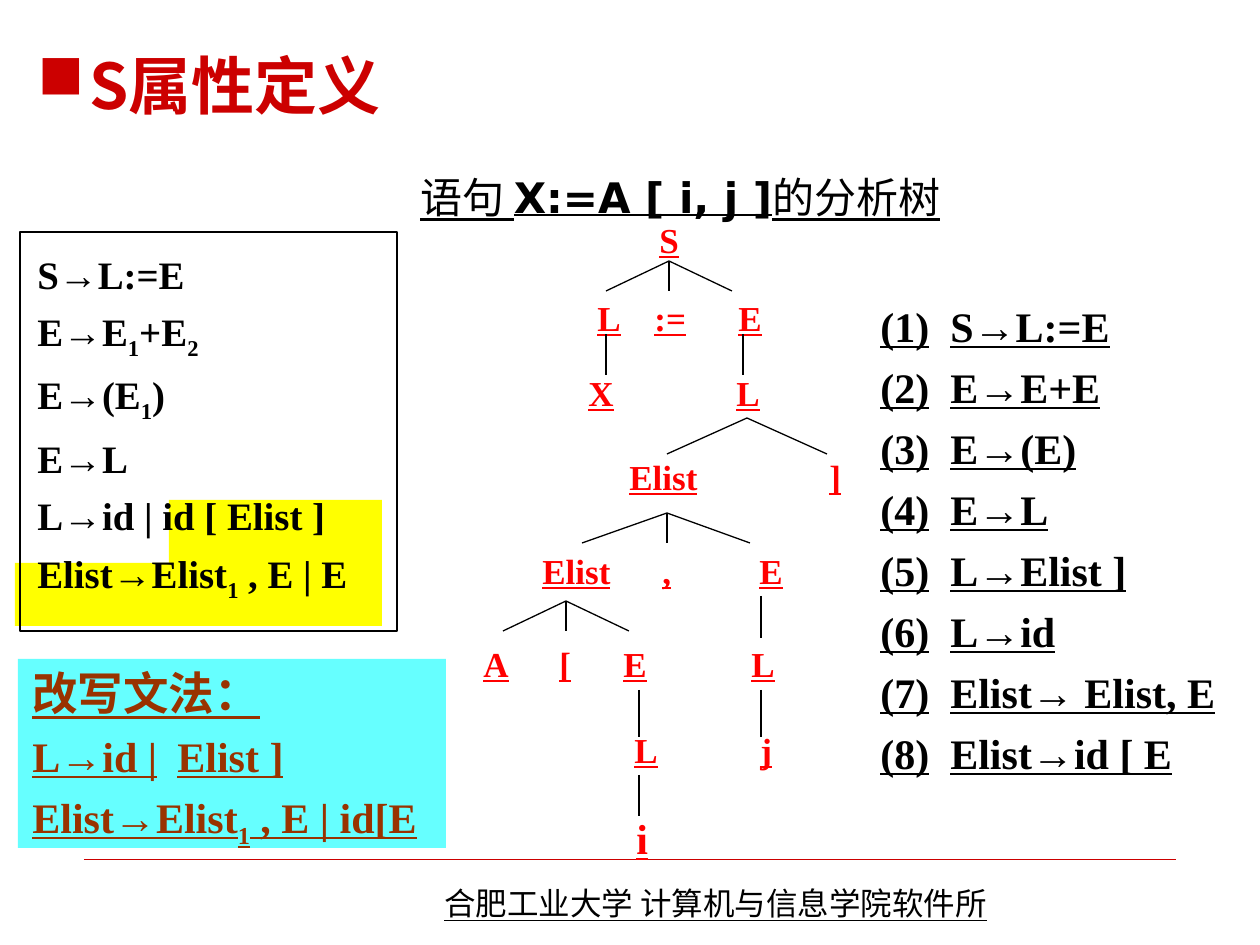
from dataclasses import dataclass
from itertools import groupby

from lxml.etree import SubElement
from pptx import Presentation
from pptx.dml.color import RGBColor
from pptx.enum.shapes import MSO_CONNECTOR, MSO_SHAPE
from pptx.enum.text import MSO_ANCHOR
from pptx.oxml.ns import qn
from pptx.util import Emu, Pt

EMU_PER_PX = 914400 / 126


@dataclass(frozen=True)
class Theme:
    red: str = "CC0000"
    tree: str = "FF0000"
    ink: str = "000000"
    brown: str = "993300"
    cyan: str = "66FFFF"
    yellow: str = "FFFF00"
    serif: str = "Times New Roman"
    arrow: str = "Arial"
    cjk: str = "Noto Sans CJK SC"
    sans: str = "DejaVu Sans"
    title_size: float = 36
    heading_size: float = 26
    text_size: float = 24
    rule_size: float = 22.2
    node_size: float = 20
    footer_size: float = 18
    line_gap: float = 6.1


THEME = Theme()


@dataclass(frozen=True)
class Area:
    left: int
    top: int
    width: int
    height: int


@dataclass(frozen=True)
class TreeRow:
    area: Area
    text: str
    tabs: tuple[int, ...] = ()
    size: float = THEME.node_size


@dataclass(frozen=True)
class Fan:
    apex: int
    top: int
    bottom: int
    feet: tuple[int, ...]


def px(length: float) -> Emu:
    return Emu(round(length * EMU_PER_PX))


def emu(area: Area) -> tuple[Emu, ...]:
    return px(area.left), px(area.top), px(area.width), px(area.height)


def add_span(para, text, *, size, font=THEME.serif, color=THEME.ink,
             bold=False, underline=False, subscript=False):
    span = para.add_run()
    span.text = text
    span.font.size = Pt(size)
    span.font.name = font
    span.font.bold = bold
    span.font.underline = underline
    span.font.color.rgb = RGBColor.from_string(color)
    properties = span.font._element
    if any(char >= "⺀" for char in text):
        SubElement(properties, qn("a:ea"), typeface=THEME.cjk)
    if subscript:
        properties.set("baseline", "-25000")


def add_rule(para, rule: str, **style):
    """Arrows take their own font and digits become subscripts."""
    for kind, chars in groupby(rule, lambda c: "→" if c == "→" else c.isdigit()):
        font = THEME.arrow if kind == "→" else THEME.serif
        add_span(para, "".join(chars), font=font, subscript=kind is True, **style)


def add_frame(page, area: Area, anchor=MSO_ANCHOR.TOP, right_inset=12):
    frame = page.shapes.add_textbox(*emu(area)).text_frame
    frame.word_wrap = True
    frame.vertical_anchor = anchor
    frame.margin_left, frame.margin_right = px(12.6), px(right_inset)
    frame.margin_top = frame.margin_bottom = px(6.3)
    return frame


def next_para(frame, index: int):
    if index == 0:
        return frame.paragraphs[0]
    para = frame.add_paragraph()
    para.space_before = Pt(THEME.line_gap)
    return para


def set_hanging(para, indent: int):
    properties = para._p.get_or_add_pPr()
    properties.set("marL", str(px(indent)))
    properties.set("indent", str(-px(indent)))
    return properties


def set_tabs(para, stops: tuple[int, ...]):
    tab_list = SubElement(para._p.get_or_add_pPr(), qn("a:tabLst"))
    for stop in stops:
        SubElement(tab_list, qn("a:tab"), pos=str(px(stop)), algn="l")


def add_block(page, area: Area, fill: str | None = None):
    block = page.shapes.add_shape(MSO_SHAPE.RECTANGLE, *emu(area))
    block.shadow.inherit = False
    if fill:
        block.fill.solid()
        block.fill.fore_color.rgb = RGBColor.from_string(fill)
        block.line.fill.background()
    else:
        block.fill.background()
        block.line.color.rgb = RGBColor.from_string(THEME.ink)
        block.line.width = Pt(0.75)


def add_line(page, start, end, color=THEME.ink, width=0.75):
    line = page.shapes.add_connector(
        MSO_CONNECTOR.STRAIGHT, *map(px, (*start, *end)))
    line.line.color.rgb = RGBColor.from_string(color)
    line.line.width = Pt(width)
    SubElement(line._element.spPr, qn("a:effectLst"))


GRAMMAR = ("S→L:=E", "E→E1+E2", "E→(E1)", "E→L", "L→id | id [ Elist ]",
           "Elist→Elist1 , E | E")
REWRITTEN = ("L→id |\tElist ]", "Elist→Elist1 , E | id[E")
PRODUCTIONS = ("S→L:=E", "E→E+E", "E→(E)", "E→L", "L→Elist ]", "L→id",
               "Elist→ Elist, E", "Elist→id [ E")
TREE_ROWS = (
    TreeRow(Area(647, 212, 44, 55), "S"),
    TreeRow(Area(585, 290, 192, 55), "L\t:=\tE", (57, 141)),
    TreeRow(Area(576, 365, 197, 55), "X\tL", (148,)),
    TreeRow(Area(617, 449, 237, 55), "Elist\t]", (200,)),
    TreeRow(Area(530, 543, 266, 55), "Elist\t,\tE", (120, 217)),
    TreeRow(Area(471, 636, 319, 55), "A\t[\tE\tL", (76, 140, 268)),
    TreeRow(Area(551, 722, 236, 55), "\tL\tj", (71, 197)),
    TreeRow(Area(624, 806, 37, 63), "i", size=THEME.text_size),
)
FANS = (
    Fan(669, 261, 291, (606, 669, 732)),
    Fan(606, 334, 375, (606,)),
    Fan(743, 334, 375, (743,)),
    Fan(747, 418, 454, (667, 827)),
    Fan(667, 513, 543, (582, 667, 750)),
    Fan(761, 596, 638, (761,)),
    Fan(639, 690, 737, (639,)),
    Fan(761, 690, 737, (761,)),
    Fan(639, 775, 816, (639,)),
    Fan(566, 601, 631, (503, 566, 629)),
)


def main():
    deck = Presentation()
    deck.slide_width, deck.slide_height = px(1260), px(945)
    page = deck.slides.add_slide(deck.slide_layouts[6])

    # Footer
    add_line(page, (84, 859), (1176, 859), THEME.red, 0.25)
    footer = add_frame(page, Area(432, 878, 635, 50))
    add_span(footer.paragraphs[0], "合肥工业大学 计算机与信息学院软件所",
             size=THEME.footer_size, font=THEME.cjk, underline=True)

    # Coloured backgrounds
    add_block(page, Area(18, 659, 428, 189), THEME.cyan)
    add_block(page, Area(15, 563, 367, 63), THEME.yellow)
    add_block(page, Area(169, 500, 213, 63), THEME.yellow)

    # Title
    title = add_frame(page, Area(25, 45, 1187, 83), MSO_ANCHOR.BOTTOM).paragraphs[0]
    properties = set_hanging(title, 52)
    bullet_color = SubElement(properties, qn("a:buClr"))
    SubElement(bullet_color, qn("a:srgbClr"), val=THEME.red)
    SubElement(properties, qn("a:buChar"), char="■")
    add_span(title, "S属性定义", size=THEME.title_size, font=THEME.cjk,
             color=THEME.red, bold=True)

    # Grammar
    grammar = add_frame(page, Area(25, 244, 363, 377))
    for index, rule in enumerate(GRAMMAR):
        add_rule(next_para(grammar, index), rule, size=THEME.rule_size, bold=True)
    add_block(page, Area(20, 232, 377, 399))

    # Tree caption
    caption = add_frame(page, Area(408, 165, 688, 63)).paragraphs[0]
    for text, font in (("语句 ", THEME.cjk), ("X:=A [ i, j ]", THEME.sans),
                       ("的分析树", THEME.cjk)):
        add_span(caption, text, size=THEME.text_size, font=font,
                 bold=font == THEME.sans, underline=True)

    # Rewritten grammar
    rewritten = add_frame(page, Area(20, 659, 420, 210))
    emphasis = dict(color=THEME.brown, bold=True, underline=True)
    add_span(rewritten.paragraphs[0], "改写文法：", size=THEME.heading_size, **emphasis)
    for index, rule in enumerate(REWRITTEN, 1):
        para = next_para(rewritten, index)
        set_tabs(para, (145,))
        add_rule(para, rule, size=THEME.text_size, **emphasis)

    # Parse tree
    for row in TREE_ROWS:
        para = add_frame(page, row.area, MSO_ANCHOR.MIDDLE, right_inset=0).paragraphs[0]
        if row.tabs:
            set_tabs(para, row.tabs)
        add_span(para, row.text, size=row.size, color=THEME.tree,
                 bold=True, underline=True)
    for fan in FANS:
        for foot in fan.feet:
            add_line(page, (fan.apex, fan.top), (foot, fan.bottom))

    # Numbered productions
    productions = add_frame(page, Area(868, 294, 367, 507))
    for index, rule in enumerate(PRODUCTIONS):
        para = next_para(productions, index)
        set_hanging(para, 70)
        add_span(para, f"({index + 1})\t{rule}", size=THEME.text_size,
                 bold=True, underline=True)

    deck.save("out.pptx")


if __name__ == "__main__":
    main()
